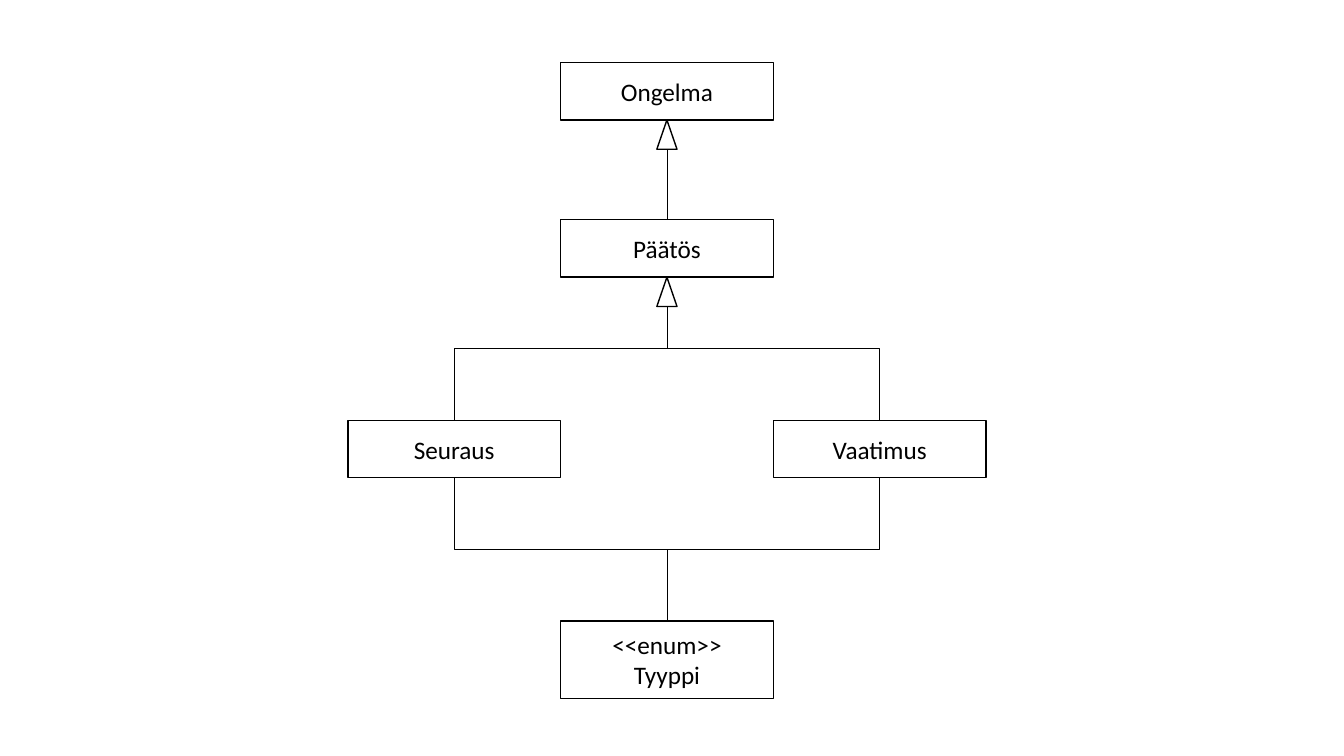
import pptx
import pptx.dml.color
import pptx.enum.shapes
import pptx.enum.text
import pptx.oxml
import pptx.oxml.ns
import pptx.util
from dataclasses import dataclass
from lxml import etree

# name: (column, row, lines of text)
CLASSES = {
    "problem": (1, 0, ["Ongelma"]),
    "decision": (1, 1, ["Päätös"]),
    "consequence": (0, 2, ["Seuraus"]),
    "requirement": (2, 2, ["Vaatimus"]),
    "type": (1, 3, ["<<enum>>", "Tyyppi"]),
}
# (upper class, lower class)
LINKS = [
    ("decision", "requirement"),
    ("decision", "consequence"),
    ("requirement", "type"),
    ("consequence", "type"),
    ("problem", "decision"),
]
PARENTS = ["problem", "decision"]

SLIDE_SIZE = (13.33, 7.5)
GRID_LEFT, GRID_TOP = 3.45, 0.62
COLUMN_WIDTH = 2.11
ROW_HEIGHTS = [0.57, 0.57, 0.57, 0.77]
ROW_GAPS = [0.99, 1.42, 1.42]
HEAD_WIDTH, HEAD_HEIGHT = 0.2, 0.29
TOP_SITE, BOTTOM_SITE = 0, 2


@dataclass(frozen=True)
class Theme:
    font: str = "Calibri"
    text_size: float = 18
    ink: str = "000000"
    paper: str = "FFFFFF"
    outline: float = 1
    link: float = 0.5


THEME = Theme()
SHAPES = pptx.enum.shapes.MSO_SHAPE
CONNECTORS = pptx.enum.shapes.MSO_CONNECTOR
inches = pptx.util.Inches


def color(value):
    return pptx.dml.color.RGBColor.from_string(value)


def set_line(item, width):
    item.line.color.rgb = color(THEME.ink)
    item.line.width = pptx.util.Pt(width)


def add_outlined(page, kind, left, top, width, height):
    shape = page.shapes.add_shape(kind, *map(inches, (left, top, width, height)))
    shape.shadow.inherit = False
    shape.fill.solid()
    shape.fill.fore_color.rgb = color(THEME.paper)
    set_line(shape, THEME.outline)
    return shape


def add_class(page, column, row, lines):
    left = GRID_LEFT + column * COLUMN_WIDTH
    top = GRID_TOP + sum(ROW_HEIGHTS[:row]) + sum(ROW_GAPS[:row])
    box = add_outlined(page, SHAPES.RECTANGLE, left, top, COLUMN_WIDTH, ROW_HEIGHTS[row])
    frame = box.text_frame
    frame.word_wrap = True
    frame.vertical_anchor = pptx.enum.text.MSO_ANCHOR.MIDDLE
    for index, line in enumerate(lines):
        para = frame.add_paragraph() if index else frame.paragraphs[0]
        para.alignment = pptx.enum.text.PP_ALIGN.CENTER
        span = para.add_run()
        span.text = line
        span.font.name = THEME.font
        span.font.size = pptx.util.Pt(THEME.text_size)
        span.font.color.rgb = color(THEME.ink)
    return box


def add_link(page, upper, lower):
    """Join the bottom of one box to the top of another, bending halfway down."""
    start_x, start_y = upper.left + upper.width // 2, upper.top + upper.height
    end_x, end_y = lower.left + lower.width // 2, lower.top
    if start_x == end_x:
        link = page.shapes.add_connector(CONNECTORS.STRAIGHT, start_x, start_y, end_x, end_y)
    else:
        # An elbow leaves sideways, so lay it out flat and turn it by 90 degrees.
        middle_x, middle_y = (start_x + end_x) // 2, (start_y + end_y) // 2
        half_drop, half_shift = (end_y - start_y) // 2, (end_x - start_x) // 2
        link = page.shapes.add_connector(
            CONNECTORS.ELBOW,
            middle_x - half_drop, middle_y + half_shift,
            middle_x + half_drop, middle_y - half_shift)
        link._element.spPr.find(pptx.oxml.ns.qn("a:xfrm")).set("rot", str(90 * 60000))
    set_line(link, THEME.link)
    etree.SubElement(link._element.spPr, pptx.oxml.ns.qn("a:effectLst"))
    ends = link._element.find(".//" + pptx.oxml.ns.qn("p:cNvCxnSpPr"))
    for tag, box, site in (("a:stCxn", upper, BOTTOM_SITE), ("a:endCxn", lower, TOP_SITE)):
        etree.SubElement(ends, pptx.oxml.ns.qn(tag), id=str(box.shape_id), idx=str(site))


def add_inheritance_head(page, parent):
    center = (parent.left + parent.width / 2) / inches(1)
    bottom = (parent.top + parent.height) / inches(1)
    add_outlined(page, SHAPES.ISOSCELES_TRIANGLE,
                 center - HEAD_WIDTH / 2, bottom, HEAD_WIDTH, HEAD_HEIGHT)


def main():
    deck = pptx.Presentation()
    deck.slide_width, deck.slide_height = map(inches, SLIDE_SIZE)
    page = deck.slides.add_slide(deck.slide_layouts.get_by_name("Blank"))
    boxes = {name: add_class(page, *entry) for name, entry in CLASSES.items()}
    for upper, lower in LINKS:
        add_link(page, boxes[upper], boxes[lower])
    for parent in PARENTS:
        add_inheritance_head(page, boxes[parent])
    deck.save("out.pptx")


if __name__ == "__main__":
    main()
